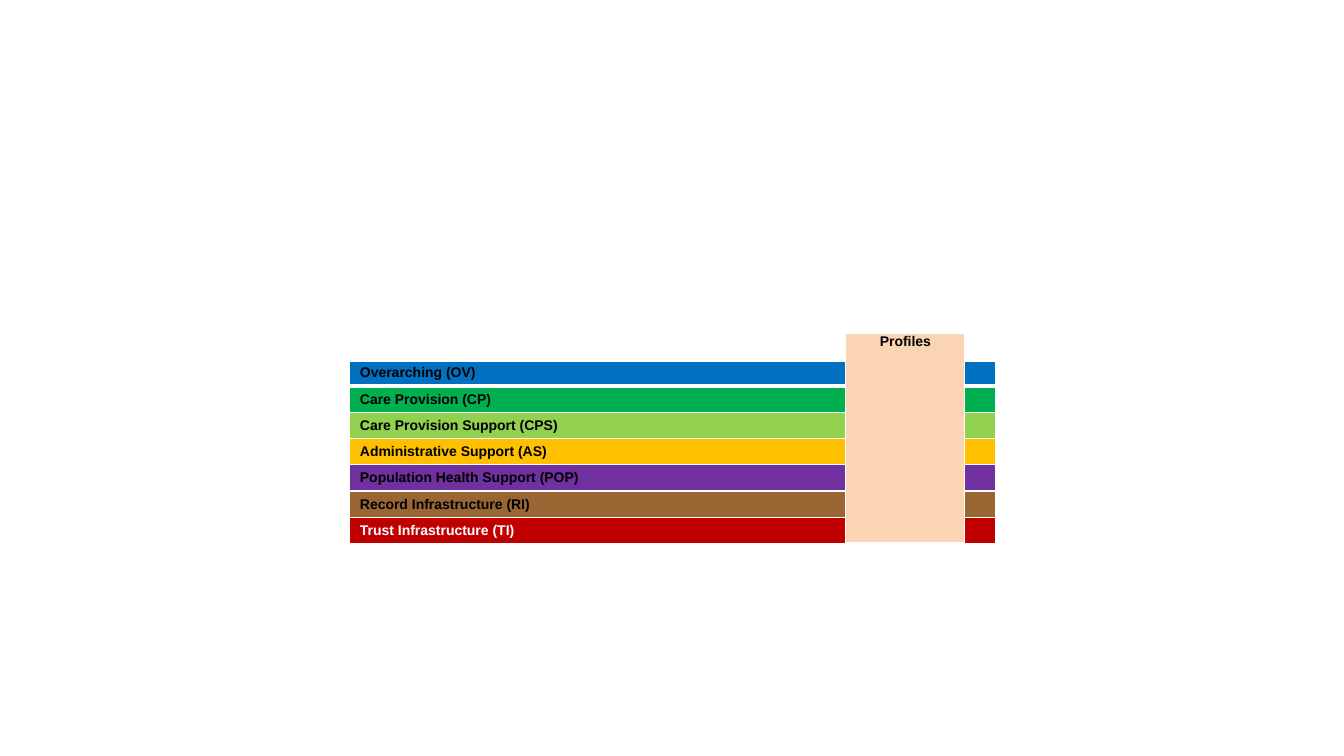
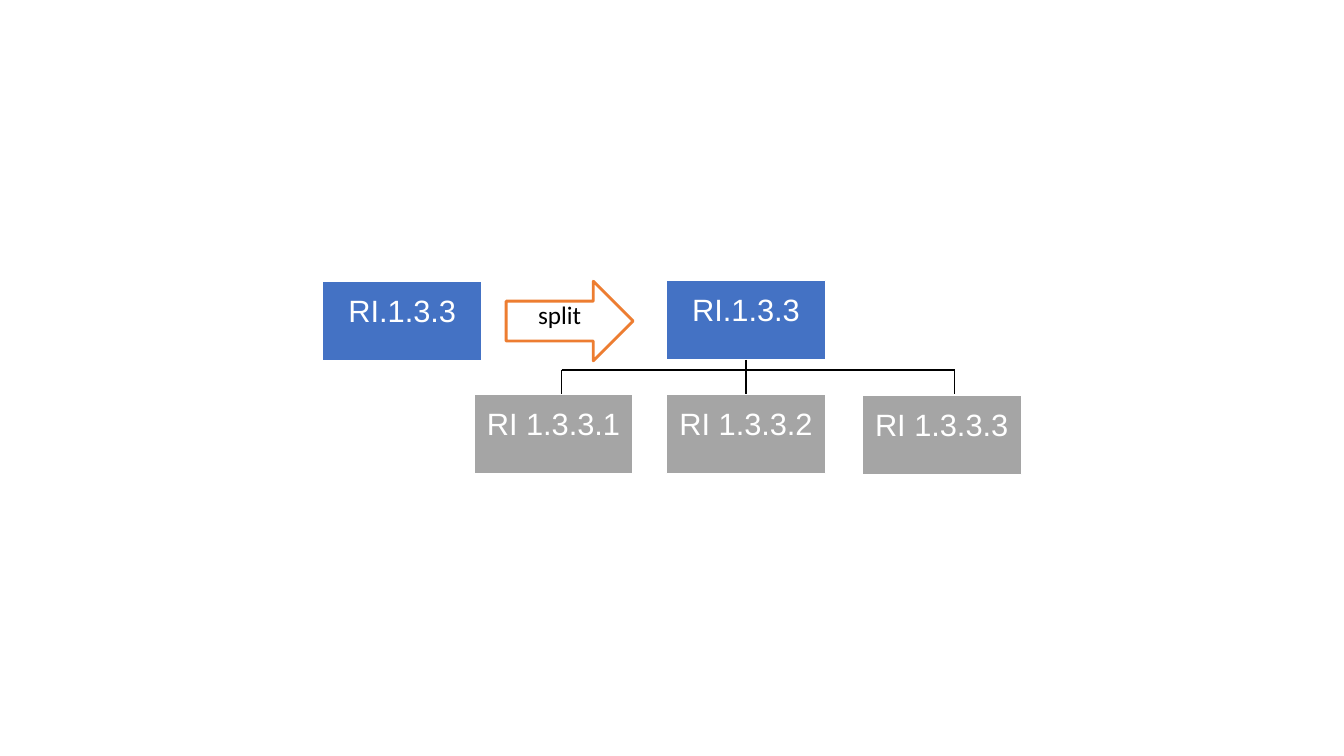
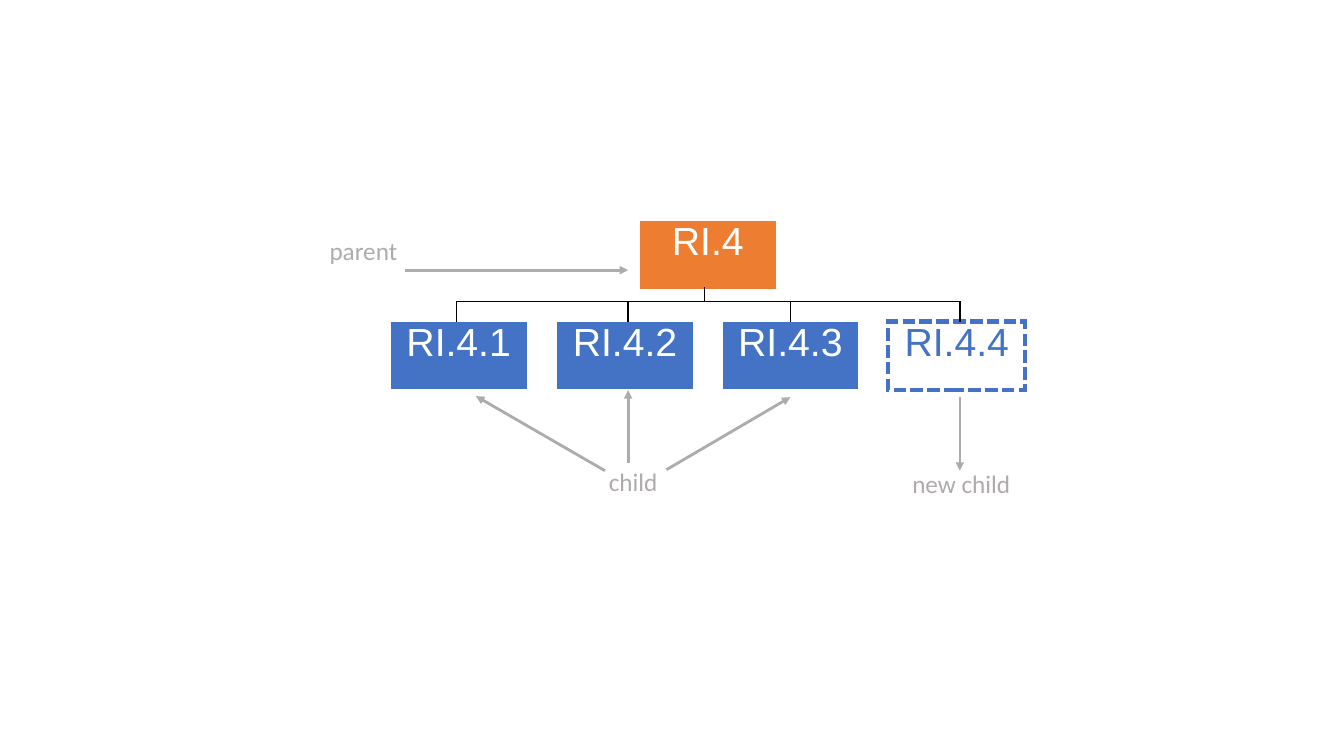
"""Builds three slides on the sections, splits and children of a functional model."""
from dataclasses import dataclass

from lxml.etree import SubElement, Element
from pptx import Presentation
from pptx.dml.color import RGBColor as Rgb
from pptx.enum.dml import MSO_LINE_DASH_STYLE as Dash
from pptx.enum.shapes import MSO_CONNECTOR as Conn, MSO_SHAPE as Kind
from pptx.enum.text import MSO_ANCHOR as Anchor, PP_ALIGN as Align
from pptx.oxml.ns import qn
from pptx.util import Inches, Pt


@dataclass(frozen=True)
class Theme:
    white: str = "FFFFFF"
    black: str = "000000"
    blue: str = "4472C4"
    orange: str = "ED7D31"
    gray: str = "A5A5A5"
    note: str = "AFABAB"
    peach: str = "FBD4B4"
    sans: str = "Arial"
    plain: str = "Calibri"
    row: int = 10
    label: int = 18
    split: int = 22
    tree: int = 28
    lead: float = 11.5
    after: int = 12


THEME = Theme()
TOP, LEFT, BOTTOM, RIGHT = range(4)
BANDS = [
    ("Overarching (OV)", "0070C0", THEME.black),
    ("Care Provision (CP)", "00B050", THEME.black),
    ("Care Provision Support (CPS)", "92D050", THEME.black),
    ("Administrative Support (AS)", "FFC000", THEME.black),
    ("Population Health Support (POP)", "7030A0", THEME.black),
    ("Record Infrastructure (RI)", "996633", THEME.black),
    ("Trust Infrastructure (TI)", "C00000", THEME.white),
]


def write(frame, text, size, color, face=THEME.sans, align=Align.CENTER,
          bold=False, before=0, after=THEME.after):
    frame.text = text
    para = frame.paragraphs[0]
    para.alignment = align
    para.line_spacing = Pt(THEME.lead)
    para.space_before, para.space_after = Pt(before), Pt(after)
    for run in para.runs:
        font = run.font
        font.size, font.name, font.bold = Pt(size), face, bold
        font.color.rgb = Rgb.from_string(color)


def shrink(cell):
    para = cell.text_frame.paragraphs[0]
    SubElement(para._p, qn("a:endParaRPr"), sz=str(THEME.row * 100))


def inset(item, side, end):
    item.margin_left = item.margin_right = Inches(side)
    item.margin_top = item.margin_bottom = Inches(end)


def paint(item, color):
    if color:
        item.fill.solid()
        item.fill.fore_color.rgb = Rgb.from_string(color)
    else:
        item.fill.background()


def stroke(item, color, width):
    item.line.color.rgb = Rgb.from_string(color)
    item.line.width = Pt(width)


def edge(cell, top, bottom):
    props = cell._tc.get_or_add_tcPr()
    for spot, (side, width) in enumerate(
            [("L", 1), ("R", 1), ("T", top), ("B", bottom)]):
        line = Element(qn("a:ln" + side), w=str(Pt(width)))
        fill = SubElement(line, qn("a:solidFill"))
        SubElement(fill, qn("a:srgbClr"), val=THEME.white)
        props.insert(spot, line)


def box(slide, text, left, top, size, fill, scale, pad):
    shape = slide.shapes.add_shape(
        Kind.RECTANGLE, Inches(left), Inches(top), *map(Inches, size))
    shape.shadow.inherit = False
    paint(shape, fill)
    stroke(shape, THEME.white, 1)
    inset(shape.text_frame, pad, pad)
    shape.text_frame.vertical_anchor = Anchor.MIDDLE
    write(shape.text_frame, text, scale, THEME.white)
    return shape


def label(slide, text, left, top, width, height):
    area = slide.shapes.add_textbox(*map(Inches, (left, top, width, height)))
    area.text_frame.word_wrap = False
    write(area.text_frame, text, THEME.label, THEME.note, THEME.plain,
          Align.JUSTIFY)


def link(slide, start, end, color=THEME.black, width=1, arrow=False):
    line = slide.shapes.add_connector(
        Conn.STRAIGHT, *map(Inches, (*start, *end)))
    stroke(line, color, width)
    props = line._element.spPr
    if arrow:
        SubElement(props.find(qn("a:ln")), qn("a:tailEnd"), type="triangle")
    SubElement(props, qn("a:effectLst"))
    return line


def point(slide, start, end, width=2):
    return link(slide, start, end, THEME.note, width, True)


def bands(slide):
    count = len(BANDS) + 1
    grid = slide.shapes.add_table(
        count, 3, *map(Inches, (3.47, 3.31, 6.4, 0.26 * count))).table
    grid.first_row = grid.horz_banding = False
    for col, width in zip(grid.columns, (4.92, 1.18, 0.3)):
        col.width = Inches(width)
    rows = [("", None, THEME.black), *BANDS]
    for num, (name, fill, color) in enumerate(rows):
        for col in range(3):
            cell = grid.cell(num, col)
            text = "" if col else name
            inset(cell, 0.1 if text else 0, 0.05 if text else 0)
            paint(cell, THEME.peach if col == 1 else fill)
            edge(cell, 3 if num in (1, 2) else 1, 3 if num in (0, 1) else 1)
            write(cell.text_frame, text, THEME.row, color,
                  align=Align.LEFT, bold=True, before=3, after=3)
            if not text:
                shrink(cell)
    head = grid.cell(0, 1)
    head.merge(grid.cell(count - 1, 1))
    write(head.text_frame, "Profiles", THEME.row, THEME.black, bold=True)


def split(slide):
    size = (1.58, 0.79)

    def node(text, left, top, fill):
        return box(slide, text, left, top, size, fill, THEME.split, 0.02)

    node("RI.1.3.3", 3.2, 2.79, THEME.blue)
    whole = node("RI.1.3.3", 6.61, 2.78, THEME.blue)
    parts = [node(f"RI 1.3.3.{num}", left, top, THEME.gray)
             for num, (left, top) in enumerate(
                 [(4.7, 3.91), (6.61, 3.91), (8.55, 3.92)], 1)]

    arrow = slide.shapes.add_shape(
        Kind.RIGHT_ARROW, *map(Inches, (5.02, 2.79, 1.26, 0.79)))
    arrow.shadow.inherit = False
    paint(arrow, None)
    stroke(arrow, THEME.orange, 2)
    arrow.text_frame.vertical_anchor = Anchor.MIDDLE
    write(arrow.text_frame, "split", THEME.label, THEME.black, THEME.plain)

    ends = (5.57, 9.47)
    link(slide, (ends[0], 3.67), (ends[1], 3.67))
    for spot in ends:
        link(slide, (spot, 3.67), (spot, 3.91))
    stem = link(slide, (7.4, 3.57), (7.4, 3.91))
    stem.begin_connect(whole, BOTTOM)
    stem.end_connect(parts[1], TOP)


def tree(slide):
    size = (1.36, 0.68)
    top, rail = 3.19, 2.99

    def node(text, left, top, fill):
        return box(slide, text, left, top, size, fill, THEME.tree, 0.03)

    node("RI.4", 6.34, 2.19, THEME.orange)
    kids = [node(f"RI.4.{num}", left, top, THEME.blue)
            for num, left in enumerate((3.87, 5.52, 7.16, 8.81), 1)]
    fresh = kids[-1]
    paint(fresh, THEME.white)
    stroke(fresh, THEME.blue, 3)
    fresh.line.dash_style = Dash.SQUARE_DOT
    SubElement(fresh._element.spPr.find(qn("a:ln")), qn("a:miter"),
               lim="800000")
    write(fresh.text_frame, "RI.4.4", THEME.tree, THEME.blue)

    stems = (4.53, 6.23, 7.84, 9.52)
    link(slide, (stems[0], rail), (stems[-1], rail))
    drops = [link(slide, (stem, rail), (stem, top)) for stem in stems]
    drops[2].end_connect(kids[2], TOP)
    link(slide, (6.99, 2.85), (6.99, rail))

    point(slide, (4.02, 2.68), (6.23, 2.68))
    point(slide, (6, 4.67), (4.72, 3.93))
    point(slide, (6.61, 4.66), (7.84, 3.94))
    point(slide, (stems[1], 4.59), (stems[1], 3.87))
    point(slide, (stems[3], 3.94), (stems[3], 4.67), 1.5)
    label(slide, "parent", 3.17, 2.43, 0.87, 0.4)
    label(slide, "child", 5.94, 4.72, 0.68, 0.57)
    label(slide, "new child", 8.95, 4.74, 1.17, 0.57)


def main():
    deck = Presentation()
    deck.slide_width, deck.slide_height = Inches(13.33), Inches(7.5)
    for draw in (bands, split, tree):
        draw(deck.slides.add_slide(deck.slide_layouts[6]))
    deck.save("out.pptx")


if __name__ == "__main__":
    main()
